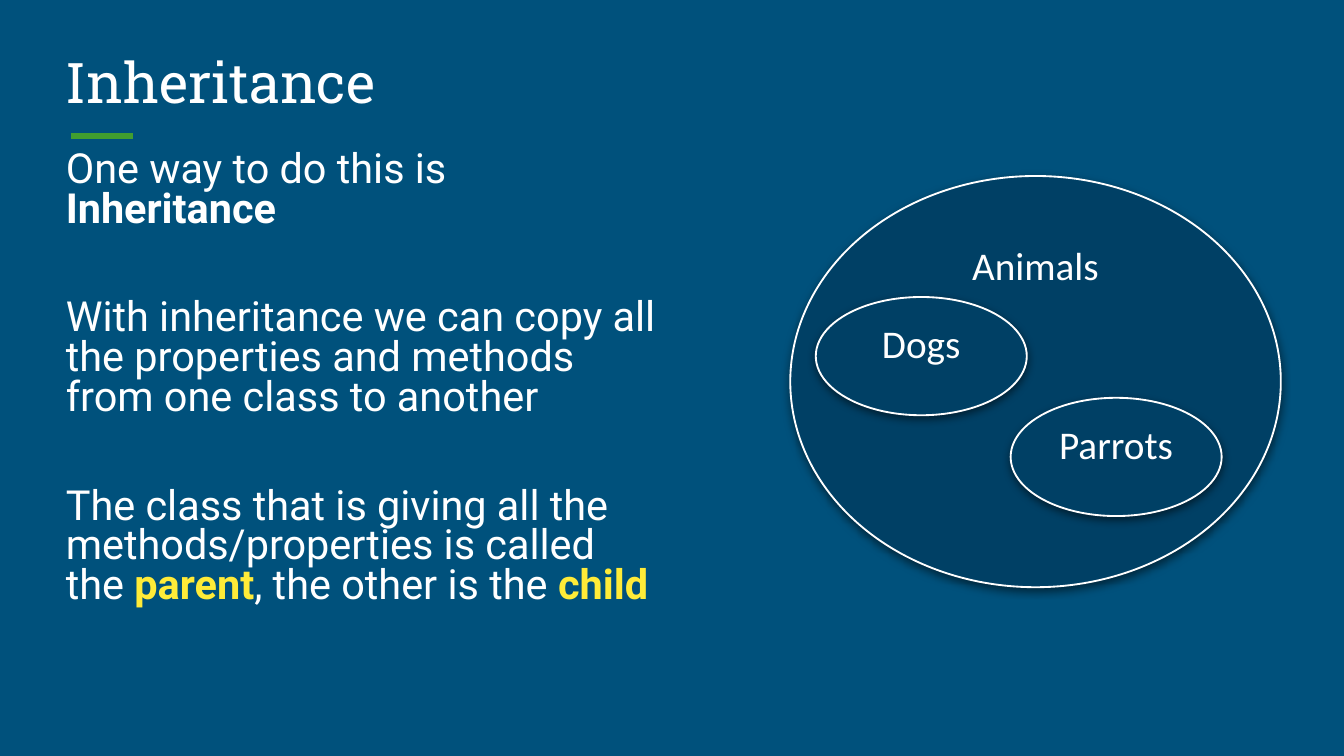
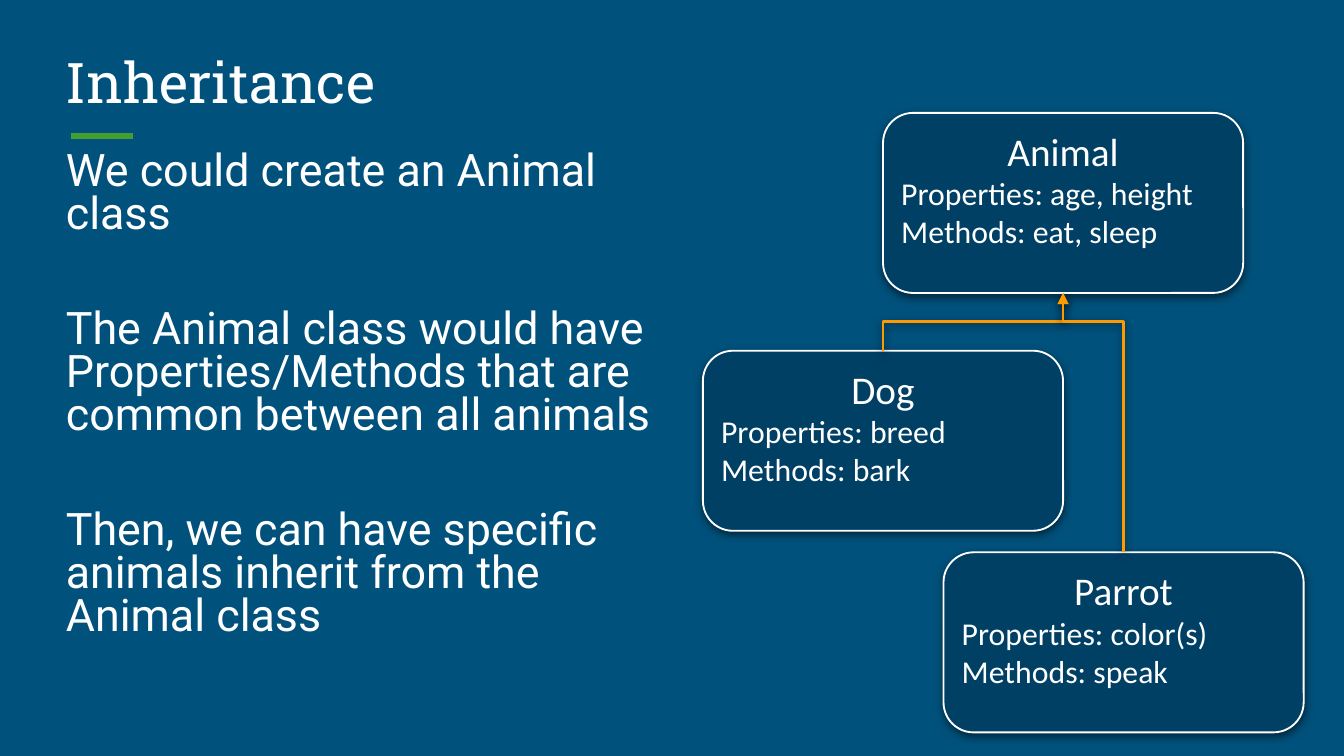
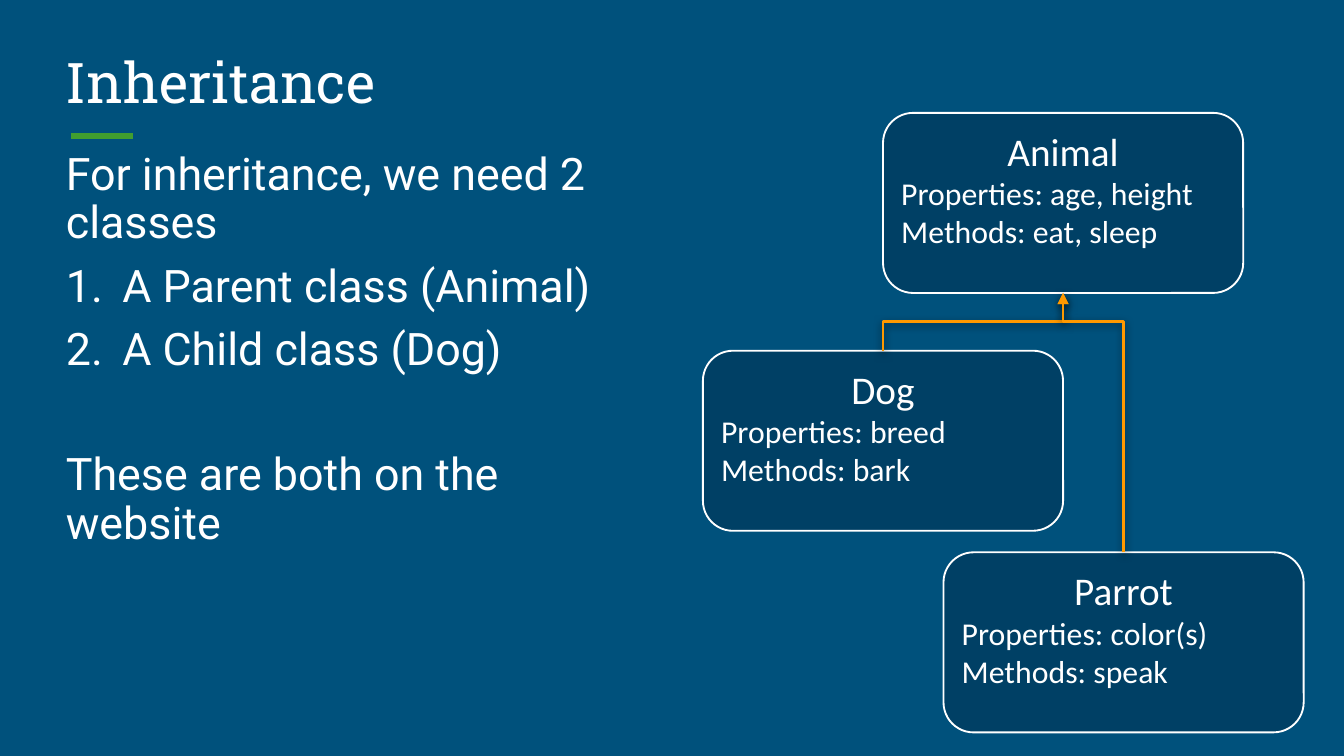
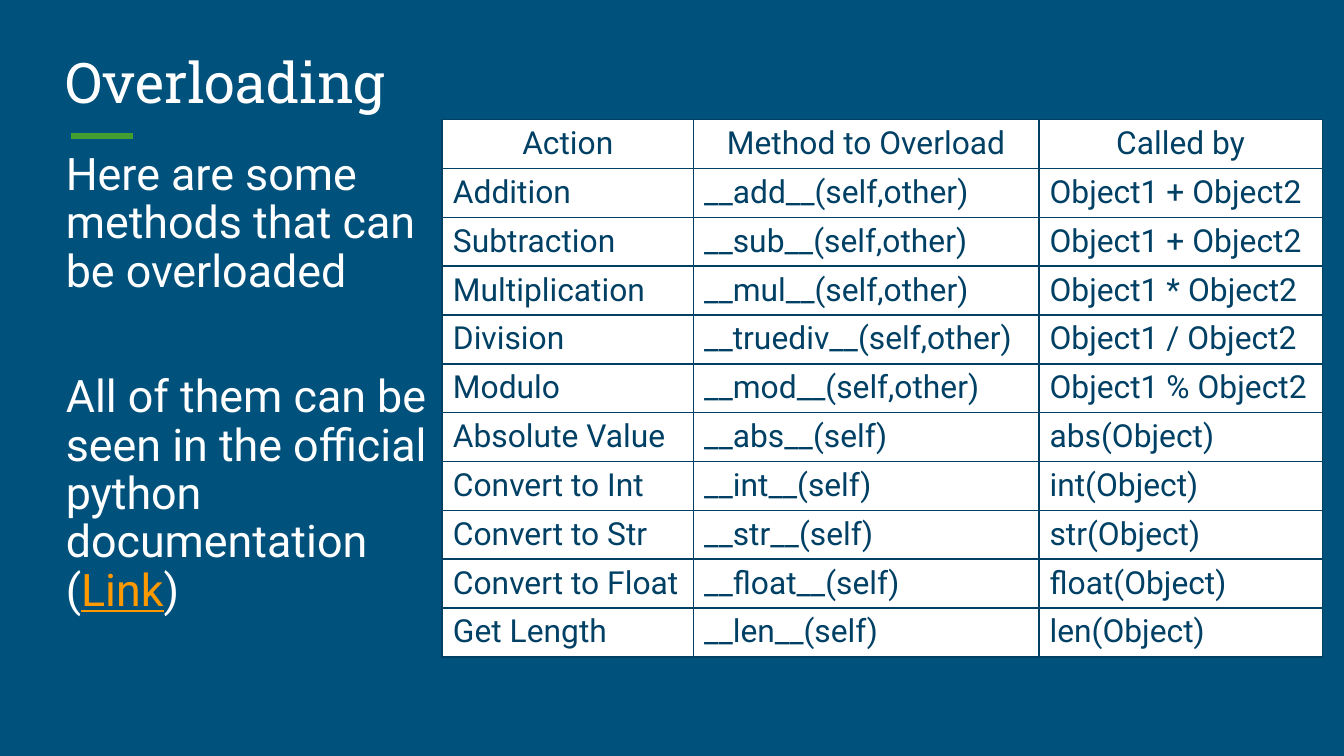
from dataclasses import dataclass
from lxml.etree import SubElement
from pptx import Presentation
from pptx.dml.color import RGBColor
from pptx.enum.shapes import MSO_CONNECTOR, MSO_SHAPE
from pptx.enum.text import MSO_ANCHOR, PP_ALIGN
from pptx.oxml.ns import qn
from pptx.util import Inches, Pt

BACK = "00517C"
DARK = "004065"
WHITE = "FFFFFF"
GREEN = "419E2F"
GOLD = "FFEB38"
AMBER = "FF9900"
HEAD = "Roboto Slab"
BODY = "Roboto"
LABEL = "Calibri"


@dataclass
class Run:
    text: str
    color: str = WHITE
    bold: bool = False
    under: bool = False


@dataclass
class Para:
    runs: list[Run]
    gap: bool = False
    num: bool = False


@dataclass
class Oval:
    name: str
    left: float
    top: float
    width: float
    height: float


@dataclass
class Card:
    name: str
    lines: tuple[str, str]
    left: float
    top: float


CARD_W, CARD_H = 2.68, 1.34
TURN_Y = 2.39
OVALS = [
    Oval("Animals", 5.88, 1.31, 3.65, 3.06),
    Oval("Dogs", 6.07, 2.21, 1.57, 0.88),
    Oval("Parrots", 7.52, 2.96, 1.57, 0.88),
]
CARDS = [
    Card("Animal", ("Properties: age, height", "Methods: eat, sleep"), 6.57, 0.84),
    Card("Dog", ("Properties: breed", "Methods: bark"), 5.23, 2.61),
    Card("Parrot", ("Properties: color(s)", "Methods: speak"), 7.02, 4.11),
]
COLS = [1.87, 2.57, 2.11]
ROWS = [
    ("Action", "Method to Overload", "Called by"),
    ("Addition", "__add__(self,other)", "Object1 + Object2"),
    ("Subtraction", "__sub__(self,other)", "Object1 + Object2"),
    ("Multiplication", "__mul__(self,other)", "Object1 * Object2"),
    ("Division", "__truediv__(self,other)", "Object1 / Object2"),
    ("Modulo", "__mod__(self,other)", "Object1 % Object2"),
    ("Absolute Value", "__abs__(self)", "abs(Object)"),
    ("Convert to Int", "__int__(self)", "int(Object)"),
    ("Convert to Str", "__str__(self)", "str(Object)"),
    ("Convert to Float", "__float__(self)", "float(Object)"),
    ("Get Length", "__len__(self)", "len(Object)"),
]


def rgb(code: str) -> RGBColor:
    return RGBColor.from_string(code)


def add_run(para, run: Run, size: float, font: str):
    part = para.add_run()
    part.text = run.text
    part.font.size = Pt(size)
    part.font.name = font
    part.font.bold = run.bold
    part.font.underline = run.under
    part.font.color.rgb = rgb(run.color)
    return part


def add_glow(effects) -> None:
    shade = SubElement(effects, qn("a:outerShdw"), blurRad=str(Pt(4.5)),
                       dist=str(Pt(1.5)), dir="5400000", algn="t", rotWithShape="0")
    tint = SubElement(shade, qn("a:srgbClr"), val="000000")
    SubElement(tint, qn("a:alpha"), val="50000")


def set_frame(frame, anchor=MSO_ANCHOR.TOP) -> None:
    frame.word_wrap = True
    frame.vertical_anchor = anchor
    frame.margin_left = frame.margin_right = Inches(0.07)
    frame.margin_top = frame.margin_bottom = Inches(0.04)


def add_box(slide, left: float, top: float, width: float, height: float, anchor=MSO_ANCHOR.TOP):
    box = slide.shapes.add_textbox(Inches(left), Inches(top), Inches(width), Inches(height))
    set_frame(box.text_frame, anchor)
    return box.text_frame


def add_page(deck, title: str):
    slide = deck.slides.add_slide(deck.slide_layouts[6])
    slide.background.fill.solid()
    slide.background.fill.fore_color.rgb = rgb(BACK)
    rule = slide.shapes.add_connector(MSO_CONNECTOR.STRAIGHT, Inches(0.53), Inches(1.01),
                                      Inches(0.99), Inches(1.01))
    rule.line.color.rgb = rgb(GREEN)
    rule.line.width = Pt(3)
    SubElement(rule._element.spPr, qn("a:effectLst"))
    para = add_box(slide, 0.42, 0.26, 9.15, 0.75, MSO_ANCHOR.MIDDLE).paragraphs[0]
    para.line_spacing = 0.9
    part = add_run(para, Run(title), 30, HEAD)
    effects = SubElement(part._r.rPr, qn("a:effectLst"))
    part._r.rPr.find(qn("a:solidFill")).addnext(effects)
    add_glow(effects)
    return slide


def add_body(slide, paras: list[Para], size: float, pitch: float, width: float = 4.56) -> None:
    frame = add_box(slide, 0.42, 1.09, width, 3.77)
    for i, item in enumerate(paras):
        para = frame.add_paragraph() if i else frame.paragraphs[0]
        para.line_spacing = pitch
        if i:
            blank = 8 + 1.17 * size * pitch
            para.space_before = Pt(round(8 + blank * item.gap, 1))
        if item.num:
            props = para._p.get_or_add_pPr()
            props.set("marL", str(Inches(0.42)))
            props.set("indent", str(-Inches(0.42)))
            tint = SubElement(props, qn("a:buClr"))
            SubElement(tint, qn("a:srgbClr"), val=WHITE)
            SubElement(props, qn("a:buAutoNum"), type="arabicPeriod")
        for run in item.runs:
            add_run(para, run, size, BODY)


def add_form(slide, kind, left: float, top: float, width: float, height: float,
             name: str, glow: bool):
    form = slide.shapes.add_shape(kind, Inches(left), Inches(top), Inches(width), Inches(height))
    form.shadow.inherit = False
    form.fill.solid()
    form.fill.fore_color.rgb = rgb(DARK)
    form.line.color.rgb = rgb(WHITE)
    form.line.width = Pt(1)
    if glow:
        add_glow(form._element.spPr.find(qn("a:effectLst")))
    set_frame(form.text_frame)
    para = form.text_frame.paragraphs[0]
    para.alignment = PP_ALIGN.CENTER
    add_run(para, Run(name), 21, LABEL)
    return form


def add_card(slide, card: Card, glow: bool) -> None:
    form = add_form(slide, MSO_SHAPE.ROUNDED_RECTANGLE, card.left, card.top,
                    CARD_W, CARD_H, card.name, glow)
    form.adjustments[0] = 0.167
    para = form.text_frame.add_paragraph()
    para.alignment = PP_ALIGN.LEFT
    for i, line in enumerate(card.lines):
        if i:
            para.add_line_break()
        add_run(para, Run(line), 17, LABEL)


def add_elbow(slide, child: Card, parent: Card) -> None:
    x1, y1 = child.left + CARD_W / 2, child.top
    x2, y2 = parent.left + CARD_W / 2, parent.top + CARD_H
    long, wide = y1 - y2, abs(x2 - x1)
    left, top = (x1 + x2 - long) / 2, (y1 + y2 - wide) / 2
    link = slide.shapes.add_connector(MSO_CONNECTOR.ELBOW, Inches(left), Inches(top),
                                      Inches(left + long), Inches(top + wide))
    props = link._element.spPr
    frame = props.find(qn("a:xfrm"))
    if x1 < x2:
        frame.set("rot", "16200000")
    else:
        frame.set("rot", "5400000")
        frame.set("flipH", "1")
    bend = round((y1 - TURN_Y) / long * 100000)
    guides = props.find(qn("a:prstGeom")).get_or_add_avLst()
    SubElement(guides, qn("a:gd"), name="adj1", fmla=f"val {bend}")
    link.line.color.rgb = rgb(AMBER)
    link.line.width = Pt(1.5)
    SubElement(link.line._get_or_add_ln(), qn("a:tailEnd"), type="triangle")
    add_glow(SubElement(props, qn("a:effectLst")))


def add_tree(slide, glow: bool) -> None:
    for card in CARDS:
        add_card(slide, card, glow)
    for child in CARDS[1:]:
        add_elbow(slide, child, CARDS[0])


def add_grid(slide) -> None:
    high = 0.3
    grid = slide.shapes.add_table(len(ROWS), len(COLS), Inches(3.29), Inches(0.89),
                                  Inches(sum(COLS)), Inches(high * len(ROWS))).table
    grid.first_row = grid.horz_banding = False
    for col, width in zip(grid.columns, COLS):
        col.width = Inches(width)
    for r, row in enumerate(ROWS):
        grid.rows[r].height = Inches(high)
        for c, text in enumerate(row):
            cell = grid.cell(r, c)
            cell.margin_left = cell.margin_right = Inches(0.08)
            cell.margin_top = cell.margin_bottom = Inches(0.04)
            props = cell._tc.get_or_add_tcPr()
            for side in ("lnL", "lnR", "lnT", "lnB"):
                edge = SubElement(props, qn(f"a:{side}"), w=str(Pt(1)))
                SubElement(SubElement(edge, qn("a:solidFill")), qn("a:srgbClr"), val=DARK)
            cell.fill.solid()
            cell.fill.fore_color.rgb = rgb(WHITE)
            para = cell.text_frame.paragraphs[0]
            para.alignment = PP_ALIGN.LEFT if r else PP_ALIGN.CENTER
            add_run(para, Run(text, DARK), 17, BODY)


def main() -> None:
    deck = Presentation()
    deck.slide_width, deck.slide_height = Inches(10), Inches(5.625)

    slide = add_page(deck, "Inheritance")
    add_body(slide, [
        Para([Run("One way to do this is "), Run("Inheritance", bold=True)]),
        Para([Run("With inheritance we can copy all the properties and methods "
                  "from one class to another")], gap=True),
        Para([Run("The class that is giving all the methods/properties is called the "),
              Run("parent", GOLD, bold=True), Run(", the other is the "),
              Run("child", GOLD, bold=True)], gap=True),
    ], 22.2, 0.8)
    for oval in OVALS:
        add_form(slide, MSO_SHAPE.OVAL, oval.left, oval.top, oval.width, oval.height,
                 oval.name, True)

    slide = add_page(deck, "Inheritance")
    add_body(slide, [
        Para([Run("We could create an Animal class")]),
        Para([Run("The Animal class would have Properties/Methods that are "
                  "common between all animals")], gap=True),
        Para([Run("Then, we can have specific animals inherit from the Animal class")], gap=True),
    ], 24, 0.8)
    add_tree(slide, True)

    slide = add_page(deck, "Inheritance")
    add_body(slide, [
        Para([Run("For inheritance, we need 2 classes")]),
        Para([Run("A Parent class (Animal)")], num=True),
        Para([Run("A Child class (Dog)")], num=True),
        Para([Run("These are both on the website")], gap=True),
    ], 24, 0.9)
    add_tree(slide, False)

    slide = add_page(deck, "Overloading")
    add_grid(slide)
    add_body(slide, [
        Para([Run("Here are some methods that can be overloaded")]),
        Para([Run("All of them can be seen in the official python documentation ("),
              Run("Link", AMBER, under=True), Run(")")], gap=True),
    ], 24, 0.9, 2.87)

    deck.save("out.pptx")


if __name__ == "__main__":
    main()
